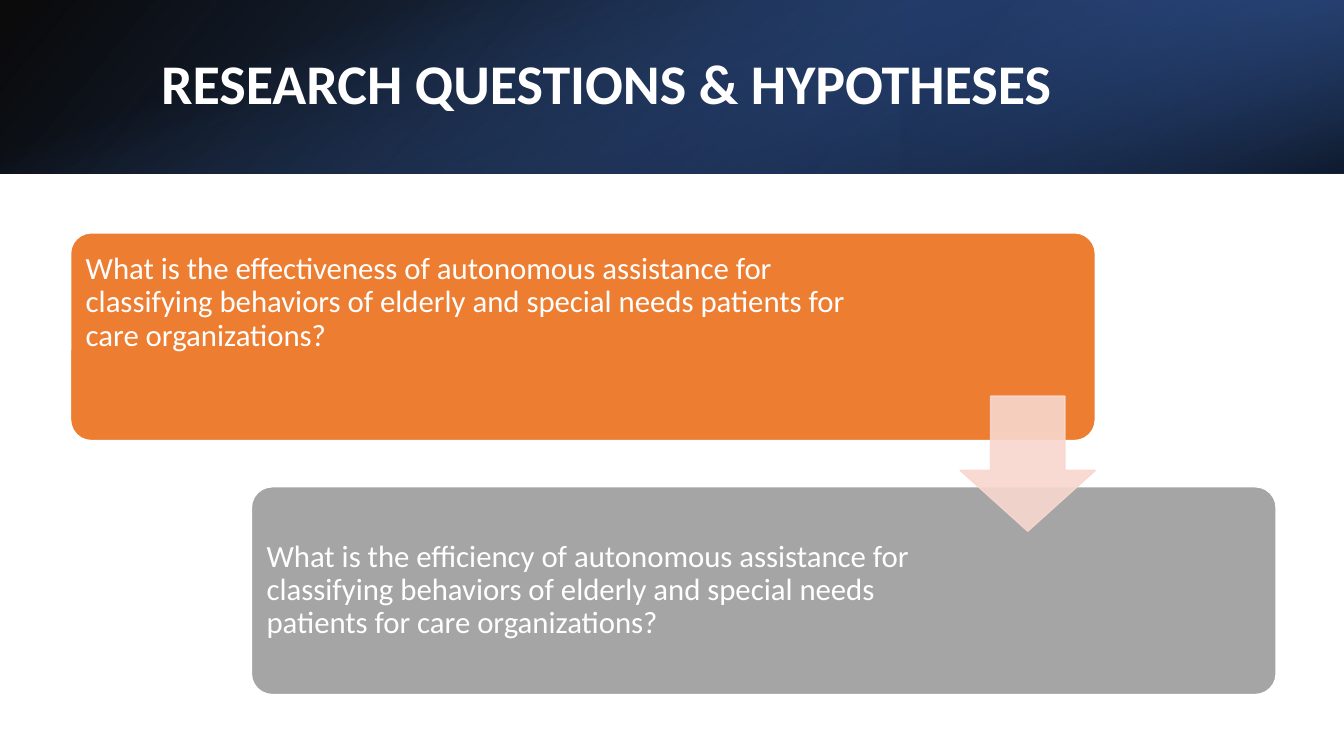
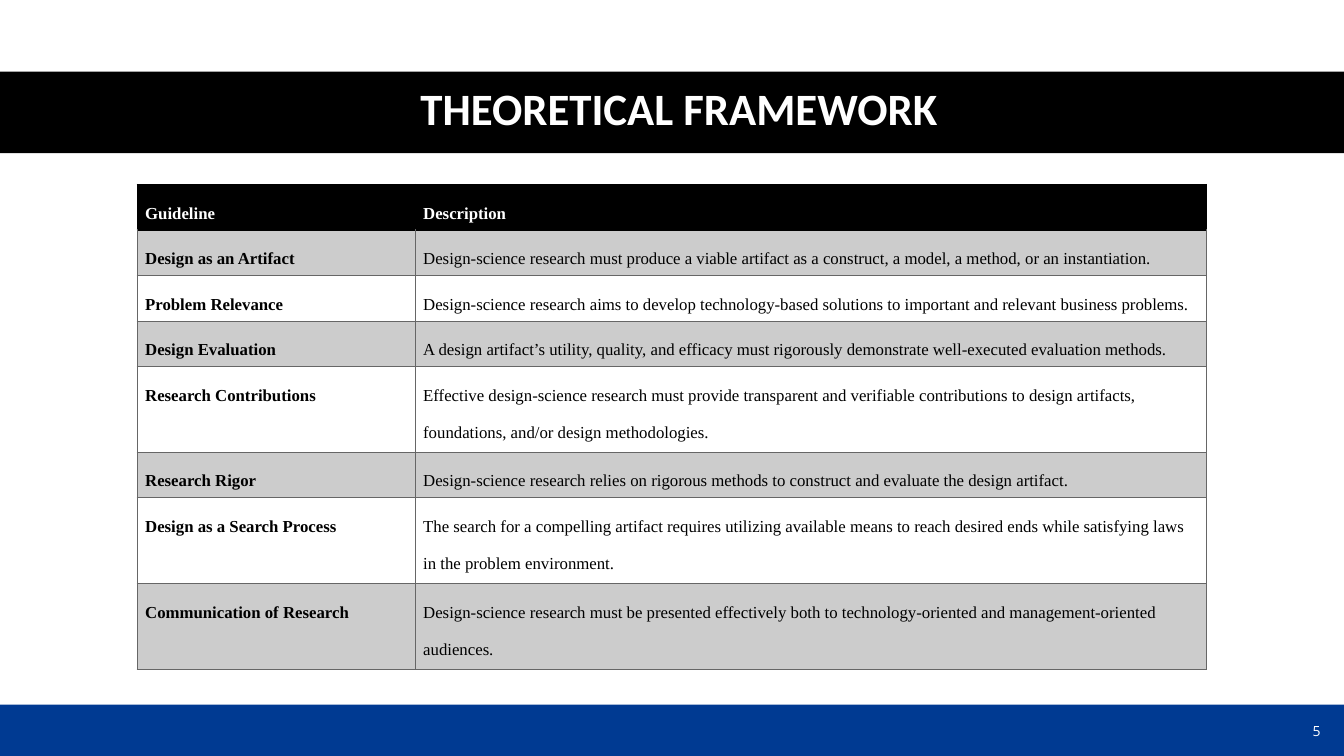
from lxml import etree
from pptx import Presentation
from pptx.dml.color import RGBColor
from pptx.enum.shapes import MSO_SHAPE
from pptx.enum.text import MSO_ANCHOR, PP_ALIGN
from pptx.oxml.ns import qn
from pptx.util import Inches, Pt

RECT, ROUND = MSO_SHAPE.RECTANGLE, MSO_SHAPE.ROUNDED_RECTANGLE
ARROW = MSO_SHAPE.DOWN_ARROW
TOP, MIDDLE = MSO_ANCHOR.TOP, MSO_ANCHOR.MIDDLE
LEFT, CENTER, RIGHT = PP_ALIGN.LEFT, PP_ALIGN.CENTER, PP_ALIGN.RIGHT

WHITE = RGBColor(0xFF, 0xFF, 0xFF)
BLACK = RGBColor(0x00, 0x00, 0x00)
ROYAL = RGBColor(0x00, 0x3A, 0x92)
DENIM = RGBColor(0x2F, 0x55, 0x97)
NAVY = RGBColor(0x20, 0x38, 0x64)
BLUE = RGBColor(0x44, 0x72, 0xC4)
ORANGE = RGBColor(0xED, 0x7D, 0x31)
GRAY = RGBColor(0xA5, 0xA5, 0xA5)
BLUSH = RGBColor(0xF8, 0xD7, 0xCE)
SILVER = RGBColor(0xCC, 0xCC, 0xCC)
RULE = RGBColor(0x66, 0x66, 0x66)

# The slide is a grid of 100 columns by 100 rows
WIDE, HIGH = Inches(13.33), Inches(7.5)
COL, ROW = WIDE / 100, HIGH / 100

TITLE = {"name": "Calibri", "bold": True}
BODY = {"name": "Calibri", "size": Pt(22)}
CELL = {"name": "Times New Roman", "size": Pt(12)}
TIGHT = {"line_spacing": 0.9, "alignment": LEFT}
DOUBLE = {"line_spacing": 2.0}

CARDS = [
    (ORANGE, "What is the effectiveness of autonomous assistance for classifying "
     "behaviors of elderly and special needs patients for care organizations?",
     TOP, 0.14, 2.1),
    (GRAY, "What is the efficiency of autonomous assistance for classifying "
     "behaviors of elderly and special needs patients for care organizations?",
     MIDDLE, 0.09, 3.23),
]

# Row heights as percentages of the table
ONE, TWO = 9.4, 17.67
GUIDES = [
    (ONE, "Guideline", "Description"),
    (ONE, "Design as an Artifact",
     "Design-science research must produce a viable artifact as a construct, "
     "a model, a method, or an instantiation."),
    (ONE, "Problem Relevance",
     "Design-science research aims to develop technology-based solutions to "
     "important and relevant business problems."),
    (ONE, "Design Evaluation",
     "A design artifact’s utility, quality, and efficacy must rigorously "
     "demonstrate well-executed evaluation methods."),
    (TWO, "Research Contributions",
     "Effective design-science research must provide transparent and verifiable "
     "contributions to design artifacts, foundations, and/or design methodologies."),
    (ONE, "Research Rigor",
     "Design-science research relies on rigorous methods to construct and "
     "evaluate the design artifact."),
    (TWO, "Design as a Search Process",
     "The search for a compelling artifact requires utilizing available means to "
     "reach desired ends while satisfying laws in the problem environment."),
    (TWO, "Communication of Research",
     "Design-science research must be presented effectively both to "
     "technology-oriented and management-oriented audiences."),
]


def grid(x, y, w, h):
    """Turn columns and rows into a box of lengths."""
    return round(x * COL), round(y * ROW), round(w * COL), round(h * ROW)


def part(box, x, y, w, h):
    """Take a share of a box."""
    left, top, wide, high = box
    return (round(left + x * wide), round(top + y * high),
            round(w * wide), round(h * high))


def style(obj, values):
    for key, value in values.items():
        setattr(obj, key, value)


def fade(node, share):
    """Set the opacity of a colour node, in percent."""
    etree.SubElement(node, qn("a:alpha"), val=str(share * 1000))


def write(frame, text, font, color, para, anchor=None):
    frame.word_wrap = True
    if anchor is not None:
        frame.vertical_anchor = anchor
    line = frame.paragraphs[0]
    style(line, para)
    run = line.add_run()
    run.text = text
    style(run.font, font)
    run.font.color.rgb = color


def block(slide, box, fill=None, kind=RECT, edge=None):
    shape = slide.shapes.add_shape(kind, *box)
    shape.shadow.inherit = False
    if fill is not None:
        shape.fill.solid()
        shape.fill.fore_color.rgb = fill
    if edge is None:
        shape.line.fill.background()
    else:
        shape.line.color.rgb = edge
        shape.line.width = Pt(1)
    return shape


def blend(slide, box, stops, angle, turn=0, flip=False):
    """Draw a rectangle with a two-stop gradient; angle runs clockwise."""
    shape = block(slide, box)
    shape.rotation = turn
    if flip:
        shape.element.spPr.xfrm.set("flipH", "1")
    shape.fill.gradient()
    shape.fill.gradient_angle = 360 - angle
    for stop, (place, color, share) in zip(shape.fill.gradient_stops, stops):
        stop.position = place
        stop.color.rgb = color
    nodes = shape.element.spPr.iter(qn("a:srgbClr"))
    for node, (_, _, share) in zip(list(nodes), stops):
        fade(node, share)


def label(slide, box, text, font, para, anchor):
    frame = slide.shapes.add_textbox(*box).text_frame
    write(frame, text, font, WHITE, para, anchor)


def title(slide, box, text, size, align):
    label(slide, box, text, {**TITLE, "size": Pt(size)},
          {**TIGHT, "alignment": align, "space_after": Pt(6)}, MIDDLE)


def banner(slide, box):
    """Layer three gradients over the header box."""
    left, top, wide, high = box
    blend(slide, box, [(0, BLACK, 96), (1, DENIM, 100)], 140, flip=True)
    blend(slide, part(box, 0.67, 0, 0.33, 1),
          [(0.19, NAVY, 68), (1, BLUE, 79)], 320, 180, True)
    upright = (left + (wide - high) // 2, top + (high - wide) // 2, high, wide)
    blend(slide, upright, [(0.23, BLUE, 0), (0.99, BLACK, 74)], 340, 90)


def steps(slide, box):
    """Place two staggered cards and the arrow between them."""
    for i, (fill, text, anchor, above, right) in enumerate(CARDS):
        spot = part(box, 0.15 * i, 0.55 * i, 0.85, 0.45)
        card = block(slide, spot, fill, ROUND, WHITE)
        card.adjustments[0] = 0.1
        style(card.text_frame, {
            "margin_left": Inches(0.09), "margin_right": Inches(right),
            "margin_top": Inches(above), "margin_bottom": Inches(0.09)})
        write(card.text_frame, text, BODY, WHITE, TIGHT, anchor)

    # Square arrow: flush with the first card, centred on the gap
    left, top, wide, high = box
    side = round(0.65 * 0.45 * high)
    spot = (round(left + 0.85 * wide - side), top + (high - side) // 2, side, side)
    arrow = block(slide, spot, BLUSH, ARROW, BLUSH)
    arrow.adjustments[0], arrow.adjustments[1] = 0.45, 0.45
    arrow.adjustments[0] = 0.55
    for node in list(arrow.element.spPr.iter(qn("a:srgbClr"))):
        fade(node, 90)


def border(cell, colors):
    """Rule the sides of a cell: left, right, top, bottom."""
    props = cell._tc.get_or_add_tcPr()
    for i, (side, color) in enumerate(zip("LRTB", colors)):
        line = etree.Element(qn("a:ln" + side), w=str(Pt(1)))
        fill = etree.SubElement(line, qn("a:solidFill"))
        etree.SubElement(fill, qn("a:srgbClr"), val=str(color))
        props.insert(i, line)


def guides(slide, box):
    """Build the table of guidelines."""
    table = slide.shapes.add_table(len(GUIDES), 2, *box).table
    style(table, {"first_row": False, "horz_banding": False})
    for col, share in zip(table.columns, (0.26, 0.74)):
        col.width = round(share * box[2])
    for r, (share, *texts) in enumerate(GUIDES):
        table.rows[r].height = round(share * box[3] / 100)
        head = r == 0
        edge = BLACK if head else RULE
        for c, text in enumerate(texts):
            cell = table.cell(r, c)
            style(cell, {"margin_left": Inches(0.08), "margin_right": Inches(0.08),
                         "margin_top": Inches(0.01), "margin_bottom": 0})
            if head or r % 2:
                cell.fill.solid()
                cell.fill.fore_color.rgb = BLACK if head else SILVER
            else:
                cell.fill.background()
            border(cell, (edge, edge, BLACK if r < 2 else RULE, edge))
            write(cell.text_frame, text, {**CELL, "bold": head or c == 0},
                  WHITE if head else BLACK, DOUBLE)


def footer(slide, box, number):
    block(slide, box, ROYAL)
    label(slide, part(box, 0.86, 0.25, 0.13, 0.55), number,
          {"name": "Open Sans", "size": Pt(10)}, {"alignment": RIGHT}, TOP)


def asking(slide):
    banner(slide, grid(0, 0, 100, 22.93))
    title(slide, grid(11.25, 5.07, 82.35, 12.8),
          "RESEARCH QUESTIONS & HYPOTHESES", 40, LEFT)
    steps(slide, grid(5.25, 30.8, 89.7, 61.07))


def theory(slide):
    footer(slide, grid(0, 93.2, 100, 6.8), "5")
    block(slide, grid(0, 9.47, 100, 10.8), BLACK)
    title(slide, grid(4.57, 9.33, 91.95, 10.8), "THEORETICAL FRAMEWORK", 32, CENTER)
    guides(slide, grid(10.2, 24.4, 79.57, 64.13))


def main():
    deck = Presentation()
    style(deck, {"slide_width": WIDE, "slide_height": HIGH})
    for build in (asking, theory):
        build(deck.slides.add_slide(deck.slide_layouts[6]))
    deck.save("out.pptx")


if __name__ == "__main__":
    main()
